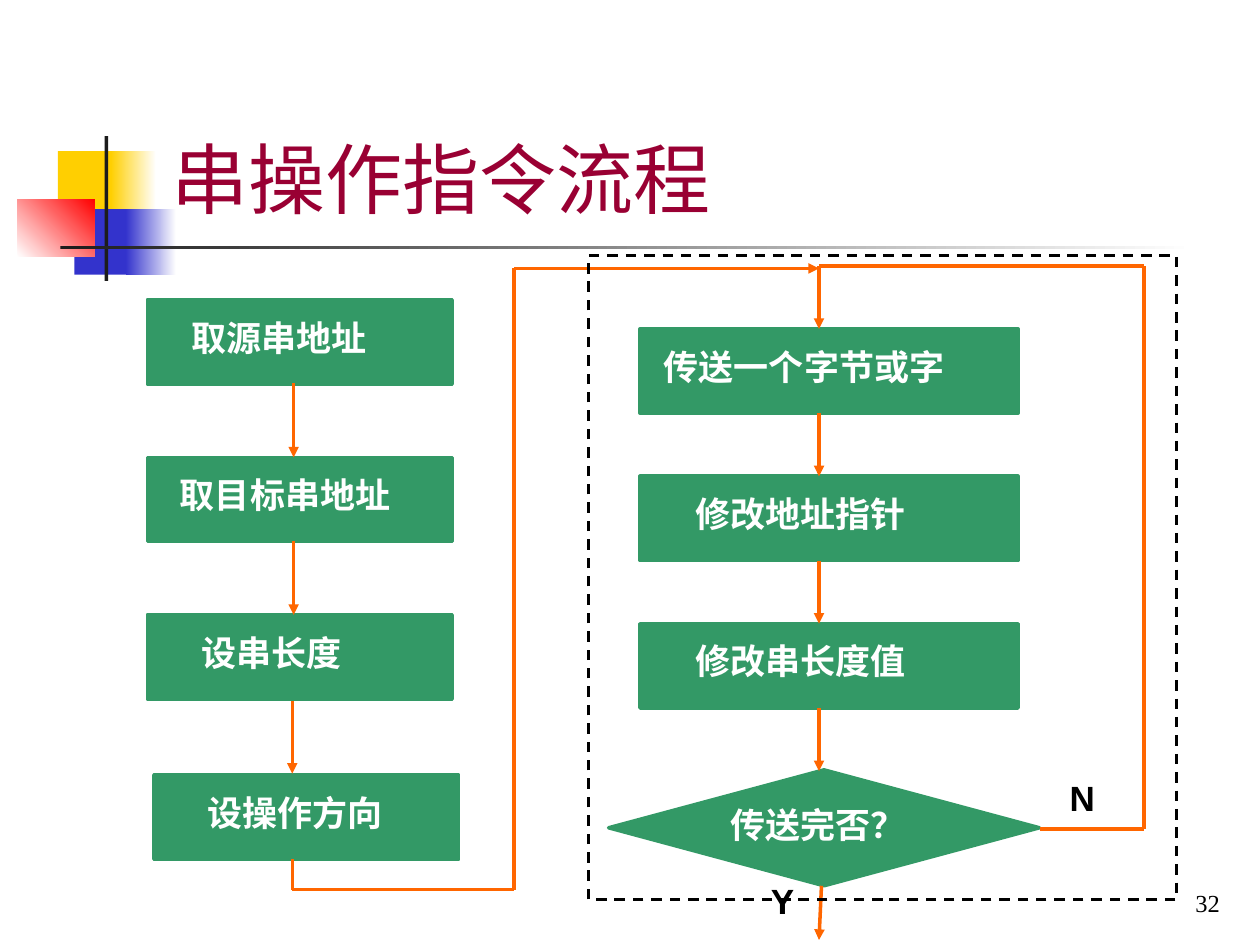
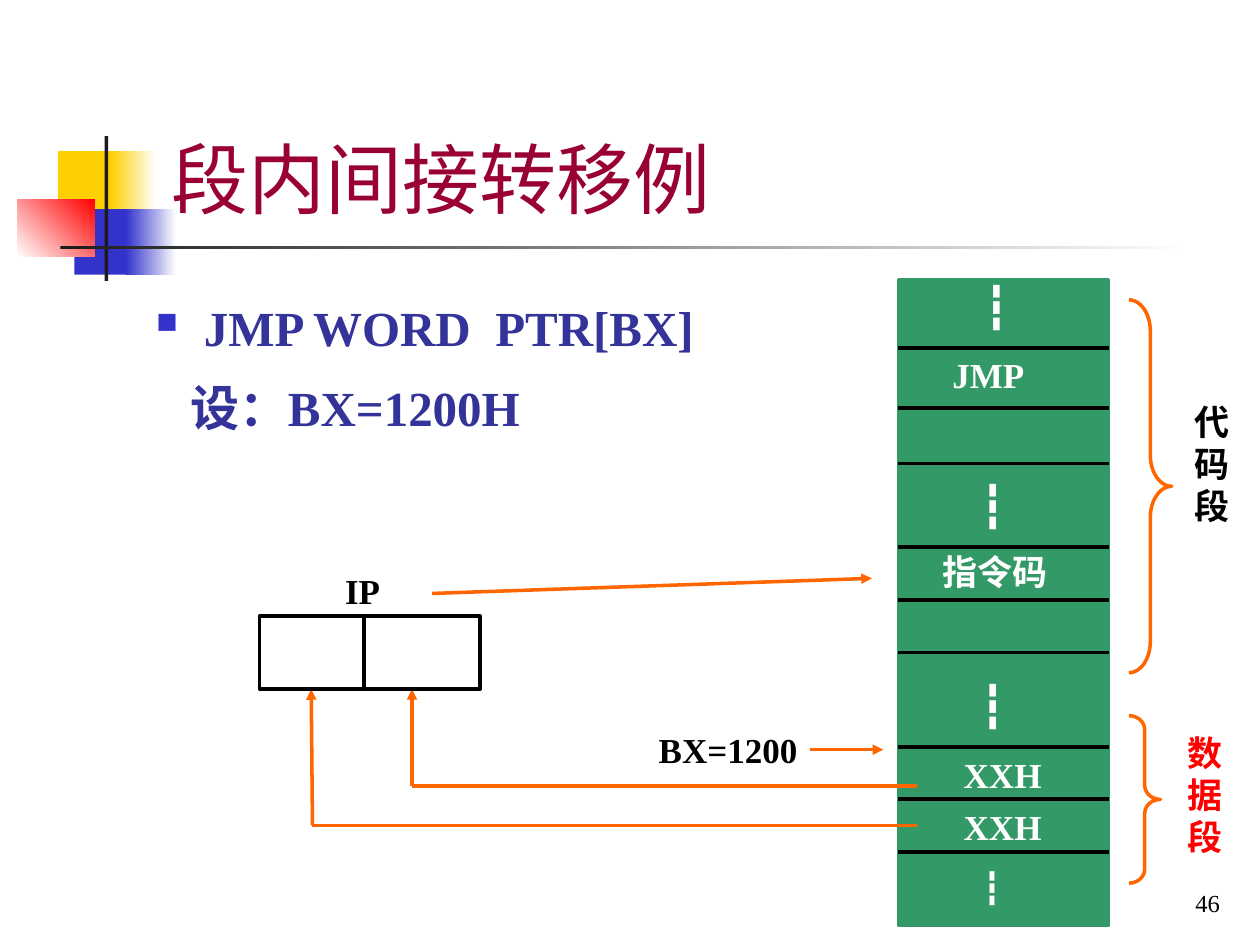
from dataclasses import dataclass

from lxml.etree import SubElement
from pptx import Presentation
from pptx.dml.color import RGBColor
from pptx.enum.dml import MSO_LINE
from pptx.enum.shapes import MSO_CONNECTOR, MSO_SHAPE
from pptx.enum.text import MSO_ANCHOR, PP_ALIGN
from pptx.oxml.ns import qn
from pptx.util import Inches, Pt


@dataclass(frozen=True)
class Theme:
    """Colours, fonts and type sizes shared by the slides."""
    title: str = "990033"
    body: str = "333399"
    bullet: str = "3333CC"
    box: str = "339966"
    flow: str = "FF6600"
    yellow: str = "FFCF01"
    red: str = "FF0000"
    bar: str = "1C1C1C"
    black: str = "000000"
    white: str = "FFFFFF"
    serif: str = "Times New Roman"
    sans: str = "Arial"
    title_size: int = 44
    body_size: int = 28
    dots_size: int = 24
    small_dots_size: int = 18
    label_size: int = 20
    number_size: int = 14
    stroke: float = 2


class Deck:
    """Holds the theme and the current slide and draws each kind of element."""

    def __init__(self, theme):
        """Start an empty 10 by 7.5 inch presentation."""
        self.theme = theme
        self.prs = Presentation()
        self.prs.slide_width = Inches(10)
        self.prs.slide_height = Inches(7.5)
        self.s = None

    def slide(self, title, number):
        """Add a slide with the corner ornament, title and number."""
        t = self.theme
        self.s = self.prs.slides.add_slide(self.prs.slide_layouts[6])
        ornament = [
            ((0.46, 1.2, 0.48, 0.52), (t.yellow,), 0),
            ((0.88, 1.2, 0.36, 0.52), (t.yellow, t.white), 0),
            ((0.59, 1.66, 0.46, 0.52), (t.bullet,), 0),
            ((1, 1.66, 0.4, 0.52), (t.bullet, t.white), 0),
            ((0.14, 1.58, 0.61, 0.46), (t.white, t.red), 45),
            ((0.83, 1.08, 0.03, 1.15), (t.bar,), 0),
            ((0.48, 1.95, 9, 0.03), (t.bar, t.white), 0),
        ]
        for at, colors, angle in ornament:
            self.shape(at, colors, angle=angle)
        tf = self.frame((1.26, 0.23, 8.52, 1.6), MSO_ANCHOR.BOTTOM)
        self.run(tf.paragraphs[0], title, t.title_size, t.title, bold=False)
        tf = self.frame((7.7, 6.83, 2.08, 0.5), MSO_ANCHOR.BOTTOM)
        tf.paragraphs[0].alignment = PP_ALIGN.RIGHT
        self.run(tf.paragraphs[0], number, t.number_size, t.black, bold=False)

    def shape(self, at, colors=(), line=None, kind=MSO_SHAPE.RECTANGLE,
              angle=0, width=None):
        """Add a preset shape with no fill, a solid fill or a gradient."""
        sp = self.s.shapes.add_shape(kind, *map(Inches, at))
        sp.shadow.inherit = False
        if len(colors) == 2:
            sp.fill.gradient()
            sp.fill.gradient_angle = angle
            for stop, color in zip(sp.fill.gradient_stops, colors):
                stop.color.rgb = RGBColor.from_string(color)
        elif colors:
            sp.fill.solid()
            sp.fill.fore_color.rgb = RGBColor.from_string(colors[0])
        else:
            sp.fill.background()
        if line:
            sp.line.color.rgb = RGBColor.from_string(line)
            sp.line.width = Pt(width or self.theme.stroke)
        else:
            sp.line.fill.background()
        return sp

    def block(self, at, kind=MSO_SHAPE.RECTANGLE):
        """Add a green block."""
        self.shape(at, (self.theme.box,), self.theme.box, kind)

    def brace(self, at):
        """Add an open right brace whose curves are a twelfth of its height."""
        sp = self.shape(at, line=self.theme.flow, kind=MSO_SHAPE.RIGHT_BRACE)
        sp.adjustments[0] = at[3] / 12 / at[2]

    def frame(self, at, anchor=MSO_ANCHOR.TOP):
        """Add a wrapping text box and return its text frame."""
        tf = self.s.shapes.add_textbox(*map(Inches, at)).text_frame
        tf.word_wrap = True
        tf.vertical_anchor = anchor
        return tf

    def run(self, p, text, size, color, bold=True, font=None):
        """Add one styled run to a paragraph."""
        r = p.add_run()
        r.text = text
        r.font.size = Pt(size)
        r.font.bold = bold
        r.font.name = font or self.theme.serif
        r.font.color.rgb = RGBColor.from_string(color)
        return r

    def label(self, text, x, y, w, h=0.44, color=None, size=None, font=None):
        """Add a bold label."""
        t = self.theme
        p = self.frame((x, y, w, h)).paragraphs[0]
        self.run(p, text, size or t.label_size, color or t.white, font=font)

    def step(self, at, text, x, w):
        """Add a flow chart step with its label."""
        self.block(at)
        self.label(text, x, at[1] + 0.08, w)

    def line(self, start, end, color=None, arrow=False):
        """Add a straight line, with an arrowhead at its end if asked."""
        c = self.s.shapes.add_connector(
            MSO_CONNECTOR.STRAIGHT, *map(Inches, (*start, *end)))
        c.line.color.rgb = RGBColor.from_string(color or self.theme.flow)
        c.line.width = Pt(self.theme.stroke)
        if arrow:
            SubElement(c.line._get_or_add_ln(), qn("a:tailEnd"), type="triangle")
        SubElement(c._element.spPr, qn("a:effectLst"))

    def route(self, *points, arrow=True):
        """Join points with lines, the last one ending in an arrowhead."""
        for i in range(1, len(points)):
            self.line(points[i - 1], points[i],
                      arrow=arrow and i == len(points) - 1)

    def body_paragraph(self, p, left, first):
        """Set the spacing and indents of a body paragraph."""
        pPr = p._p.get_or_add_pPr()
        pPr.set("marL", str(Inches(left)))
        pPr.set("indent", str(Inches(first)))
        p.line_spacing = 1.15
        p.space_after = Pt(1.8)
        return pPr

    def bullet(self, pPr):
        """Give a paragraph the small square bullet."""
        color = SubElement(pPr, qn("a:buClr"))
        SubElement(color, qn("a:srgbClr"), val=self.theme.bullet)
        SubElement(pPr, qn("a:buSzPct"), val="60000")
        SubElement(pPr, qn("a:buChar"), char="■")


def string_flow(deck):
    """Build the flow chart of string instructions."""
    t = deck.theme
    deck.slide("串操作指令流程", "32")
    deck.block((4.83, 6.11, 3.42, 0.92), MSO_SHAPE.FLOWCHART_DECISION)
    deck.label("传送完否？", 5.7, 6.33, 2.08)

    setup = [("取源串地址", 1.42, 2.08), ("取目标串地址", 1.33, 2.42),
             ("设串长度", 1.5, 2.08)]
    for i, (text, x, w) in enumerate(setup):
        deck.step((1.17, 2.38 + 1.25 * i, 2.42, 0.67), text, x, w)
    deck.step((1.22, 6.15, 2.42, 0.67), "设操作方向", 1.55, 1.79)
    for x, top, bottom in [(2.33, 3.04, 3.63), (2.33, 4.29, 4.88),
                           (2.32, 5.56, 6.14)]:
        deck.line((x, top), (x, bottom), arrow=True)

    loop = [("传送一个字节或字", 5.17, 2.92), ("修改地址指针", 5.42, 2.33),
            ("修改串长度值", 5.42, 2.33)]
    for i, (text, x, w) in enumerate(loop):
        deck.step((5.08, 2.61 + 1.17 * i, 3, 0.67), text, x, w)
    for i in range(len(loop) + 1):
        y = 2.11 + 1.17 * i
        deck.line((6.5, y), (6.5, y + 0.5), arrow=True)

    deck.line((6.52, 7.03), (6.5, 7.46), arrow=True)
    deck.route((8.25, 6.58), (9.08, 6.58), (9.08, 2.11), (6.5, 2.11), arrow=False)
    deck.route((2.32, 6.82), (2.32, 7.06), (4.08, 7.06), (4.08, 2.13), (6.5, 2.13))
    frame = deck.shape((4.67, 2.03, 4.67, 5.11), line=t.black, width=1.5)
    frame.line.dash_style = MSO_LINE.DASH
    deck.label("N", 8.39, 6.11, 0.47, color=t.black, font=t.sans)
    deck.label("Y", 6.02, 6.93, 0.47, color=t.black, font=t.sans)


def indirect_jump(deck):
    """Build the memory picture of an indirect jump."""
    t = deck.theme
    deck.slide("段内间接转移例", "46")
    tf = deck.frame((1.14, 2.24, 4.65, 1.55))
    p = tf.paragraphs[0]
    deck.bullet(deck.body_paragraph(p, 0.38, -0.38))
    deck.run(p, "JMP WORD", t.body_size, t.body)
    gap = deck.run(p, " ", t.body_size, t.body)
    gap.font._element.set("spc", "700")
    deck.run(p, "PTR[BX]", t.body_size, t.body)
    p = tf.add_paragraph()
    deck.body_paragraph(p, 0.27, 0)
    p.space_before = Pt(5.2)
    deck.run(p, "设：BX=1200H", t.body_size, t.body)

    left, right = 7.13, 8.8
    deck.block((left, 2.22, right - left, 5.12))
    for y in (2.76, 3.24, 3.68, 4.34, 4.76, 5.18, 5.93, 6.34, 6.76):
        deck.line((left, y), (right, y), t.black)
    for x, y in [(7.71, 2.18), (7.68, 3.76), (7.68, 5.34)]:
        deck.label("┇", x, y, 0.58, 0.5, size=t.dots_size)
    deck.label("┇", 7.7, 6.84, 0.58, 0.4, size=t.small_dots_size)
    for text, x, y, w in [("JMP", 7.46, 2.76, 1.17), ("指令码", 7.38, 4.32, 1.42),
                          ("XXH", 7.55, 5.93, 1.17), ("XXH", 7.55, 6.34, 1.17)]:
        deck.label(text, x, y, w)

    deck.brace((8.96, 2.38, 0.34, 2.96))
    deck.label("代码段", 9.38, 3.13, 0.58, 1.1, t.black)
    deck.brace((8.96, 5.68, 0.25, 1.33))
    deck.label("数据段", 9.33, 5.76, 0.51, 1.1, t.red)

    deck.label("BX=1200", 5.13, 5.73, 1.34, color=t.black)
    deck.line((6.43, 5.95), (7.01, 5.95), arrow=True)
    deck.route((7.28, 6.55), (2.48, 6.55), (2.47, 5.47))
    deck.route((7.28, 6.24), (3.27, 6.24), (3.27, 5.47))
    deck.shape((2.06, 4.89, 1.75, 0.58), line=t.black)
    deck.line((2.89, 4.89), (2.89, 5.47), t.black)
    deck.label("IP", 2.64, 4.47, 0.71, color=t.black)
    deck.line((3.43, 4.71), (6.92, 4.59), arrow=True)


def main():
    """Build both slides and save them."""
    deck = Deck(Theme())
    string_flow(deck)
    indirect_jump(deck)
    deck.prs.save("out.pptx")


if __name__ == "__main__":
    main()
